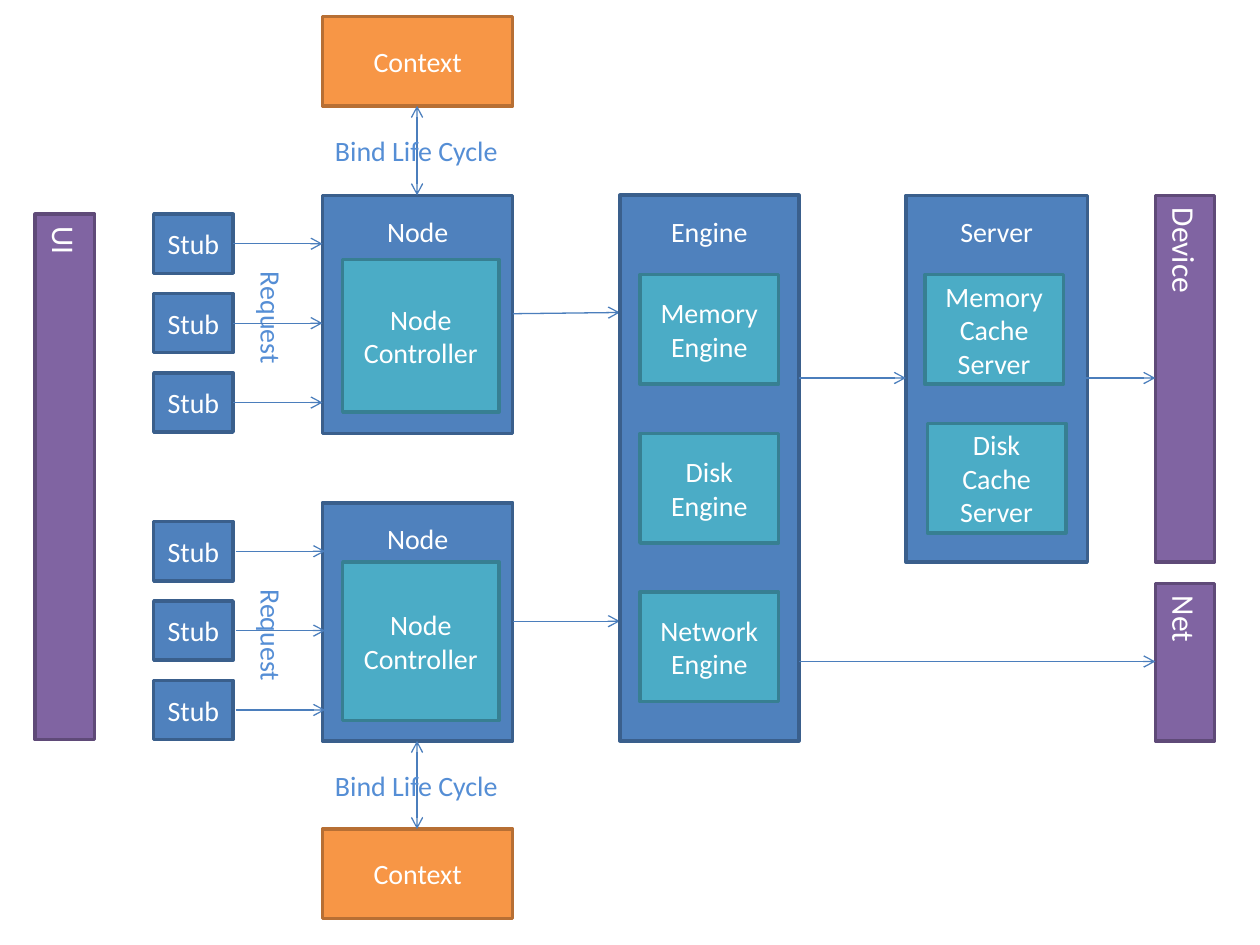
from dataclasses import dataclass

from lxml.etree import SubElement
from pptx import Presentation
from pptx.dml.color import RGBColor
from pptx.enum.shapes import MSO_CONNECTOR as Connector, MSO_SHAPE as Shape
from pptx.enum.text import MSO_ANCHOR as Anchor, MSO_AUTO_SIZE as AutoSize, PP_ALIGN as Align
from pptx.oxml.ns import qn
from pptx.util import Inches, Pt


@dataclass(frozen=True)
class Theme:
    font: str = "Calibri"
    body: int = 16
    side: int = 18
    outline: float = 2
    arrow: float = 0.75
    white: str = "FFFFFF"
    label: str = "558ED5"
    connector: str = "4B7EBC"
    blue: tuple = ("4F81BD", "3A5F8C")
    teal: tuple = ("4BACC6", "377F92")
    orange: tuple = ("F79646", "B76F34")
    purple: tuple = ("8064A2", "5F4A78")


class Diagram:
    def __init__(self, slide, theme):
        self.slide = slide
        self.theme = theme

    def set_text(self, shape, text, size, color, align, vertical, frame_format):
        frame = shape.text_frame
        frame.text = text
        for name, value in frame_format.items():
            setattr(frame, name, value)
        if vertical:
            shape.element.find(".//" + qn("a:bodyPr")).set("vert", "eaVert")
        for paragraph in frame.paragraphs:
            paragraph.alignment = align
            font = paragraph.runs[0].font
            for name, value in {"name": self.theme.font, "size": Pt(size)}.items():
                setattr(font, name, value)
            font.color.rgb = RGBColor.from_string(color)

    def box(self, text, left, top, width, height, colors, size=None, vertical=False, **frame_format):
        shape = self.slide.shapes.add_shape(Shape.RECTANGLE, *map(Inches, (left, top, width, height)))
        fill, line = map(RGBColor.from_string, colors)
        shape.shadow.inherit = False
        shape.fill.solid()
        shape.fill.fore_color.rgb = fill
        shape.line.color.rgb = line
        shape.line.width = Pt(self.theme.outline)
        frame_format = {"word_wrap": True, "vertical_anchor": Anchor.MIDDLE, **frame_format}
        self.set_text(shape, text, size or self.theme.body, self.theme.white, Align.CENTER, vertical, frame_format)

    def container(self, text, left, top, width, height):
        self.box(text, left, top, width, height, self.theme.blue,
                 vertical_anchor=Anchor.TOP, margin_top=Inches(0.15))

    def side_bar(self, text, left, top, height):
        self.box(text, left, top, 0.47, height, self.theme.purple, self.theme.side, vertical=True)

    def label(self, text, left, top, width, height, vertical=False):
        shape = self.slide.shapes.add_textbox(*map(Inches, (left, top, width, height)))
        frame_format = {"word_wrap": not vertical, "auto_size": AutoSize.SHAPE_TO_FIT_TEXT}
        self.set_text(shape, text, self.theme.body, self.theme.label, Align.LEFT, vertical, frame_format)

    def arrow(self, start, end, both_ends=False):
        connector = self.slide.shapes.add_connector(Connector.STRAIGHT, *map(Inches, start + end))
        connector.line.color.rgb = RGBColor.from_string(self.theme.connector)
        connector.line.width = Pt(self.theme.arrow)
        properties = connector.element.spPr
        outline = properties.find(qn("a:ln"))
        for tag in ("a:headEnd", "a:tailEnd") if both_ends else ("a:tailEnd",):
            SubElement(outline, qn(tag), type="arrow")
        SubElement(properties, qn("a:effectLst"))


theme = Theme()
presentation = Presentation()
presentation.slide_width = Inches(10)
presentation.slide_height = Inches(7.5)
diagram = Diagram(presentation.slides.add_slide(presentation.slide_layouts[6]), theme)

NODE_LEFT, NODE_WIDTH, NODE_HEIGHT = 2.56, 1.51, 1.89
STUB_LEFT, STUB_WIDTH, STUB_HEIGHT, STUB_PITCH = 1.22, 0.63, 0.47, 0.63
CONTEXT_HEIGHT = 0.71

node_groups = [
    {"top": 1.55, "controller": (2.06, 1.21), "context": 0.13, "bind": (0.84, 1.55),
     "label": 1.01, "request": 2.06, "shift": 0, "exit": (2.49, 2.48)},
    {"top": 3.99, "controller": (4.46, 1.26), "context": 6.58, "bind": (5.88, 6.58),
     "label": 6.05, "request": 4.58, "shift": 0.02, "exit": (4.93, 4.93)},
]
for group in node_groups:
    diagram.container("Node", NODE_LEFT, group["top"], NODE_WIDTH, NODE_HEIGHT)
    controller_top, controller_height = group["controller"]
    diagram.box("Node\nController", 2.72, controller_top, 1.24, controller_height, theme.teal)
    diagram.box("Context", NODE_LEFT, group["context"], NODE_WIDTH, CONTEXT_HEIGHT, theme.orange)
    bind_start, bind_end = group["bind"]
    diagram.arrow((3.31, bind_start), (3.31, bind_end), both_ends=True)
    diagram.label("Bind Life Cycle", NODE_LEFT, group["label"], 1.55, 0.37)
    diagram.label("Request", 1.87, group["request"], 0.47, 0.84, vertical=True)
    for row in range(3):
        stub_top = group["top"] + 0.15 + row * STUB_PITCH
        diagram.box("Stub", STUB_LEFT, stub_top, STUB_WIDTH, STUB_HEIGHT, theme.blue)
        middle = stub_top + STUB_HEIGHT / 2
        diagram.arrow((STUB_LEFT + STUB_WIDTH + group["shift"], middle), (NODE_LEFT + group["shift"], middle))
    exit_start, exit_end = group["exit"]
    diagram.arrow((NODE_LEFT + NODE_WIDTH, exit_start), (4.92, exit_end))

diagram.container("Engine", 4.92, 1.55, 1.42, 4.33)
for row, kind in enumerate(("Memory", "Disk", "Network")):
    diagram.box(f"{kind}\nEngine", 5.08, 2.18 + row * 1.26, 1.1, 0.87, theme.teal)

diagram.container("Server", 7.19, 1.55, 1.44, 2.91)
for kind, left, top in (("Memory", 7.34, 2.18), ("Disk", 7.36, 3.36)):
    diagram.box(f"{kind}\nCache Server", left, top, 1.1, 0.87, theme.teal)

for text, left, top, height in (("UI", 0.28, 1.7, 4.17), ("Device", 9.17, 1.55, 2.91), ("Net", 9.17, 4.63, 1.25)):
    diagram.side_bar(text, left, top, height)

for start, end, height in ((6.34, 7.19, 3), (8.62, 9.17, 3), (6.34, 9.17, 5.25)):
    diagram.arrow((start, height), (end, height))

presentation.save("out.pptx")
